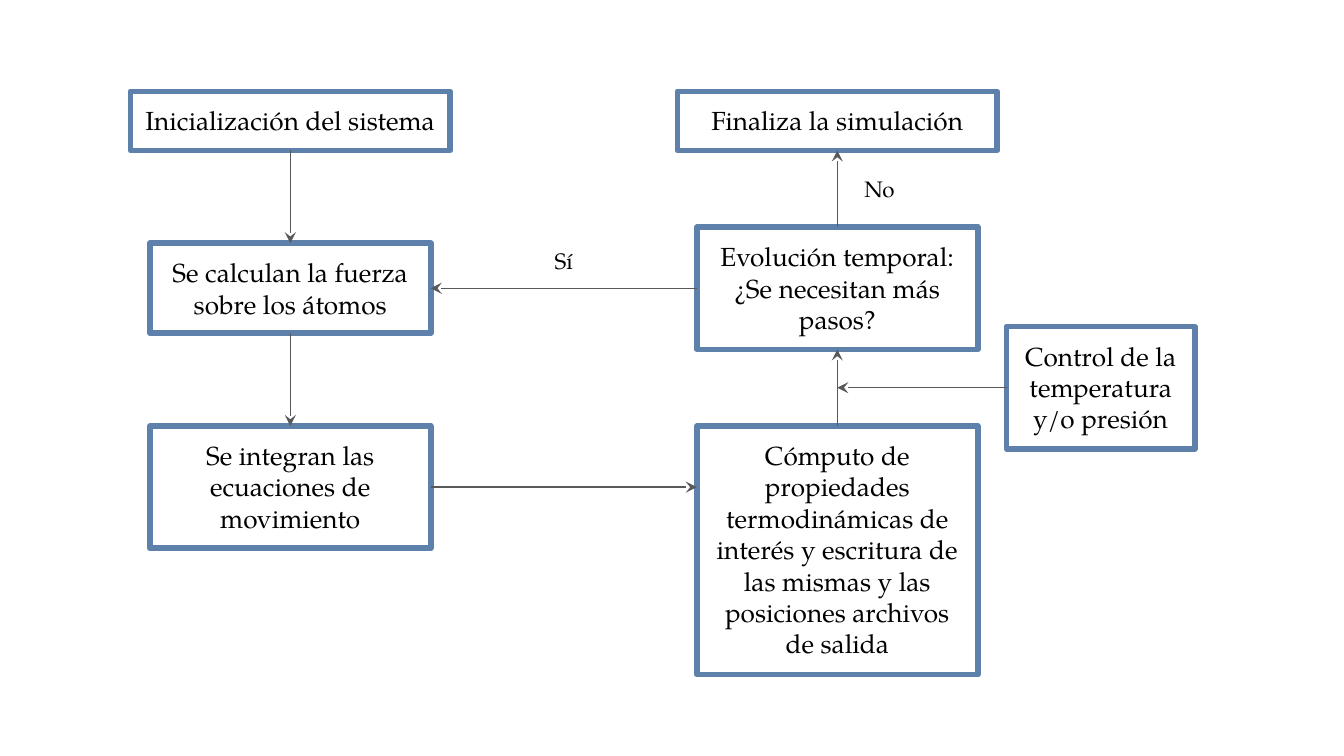
from lxml.etree import SubElement
from pptx import Presentation
from pptx.dml.color import RGBColor
from pptx.enum.shapes import MSO_CONNECTOR as CONNECTOR, MSO_SHAPE as SHAPE
from pptx.enum.text import MSO_ANCHOR as ANCHOR, PP_ALIGN as ALIGN
from pptx.oxml.ns import qn
from pptx.util import Inches, Pt

FONT = "TeX Gyre Pagella"
BLUE, GREY, BLACK = "5E81AC", "595959", "000000"
INSET = 0.1

# Column centres, and the row tops shared by both main columns
LEFT, RIGHT, SIDE = 2.16, 6.23, 8.19
TOP, BOTTOM = 0.68, 3.17
WIDE, NORMAL, NARROW = 2.38, 2.09, 1.4

# step: (column centre, top, width, height, paragraphs)
STEPS = {
    "start": (LEFT, TOP, WIDE, 0.44, ["Inicialización del sistema"]),
    "forces": (LEFT, 1.81, NORMAL, 0.67,
               ["Se calculan la fuerza sobre los átomos"]),
    "integrate": (LEFT, BOTTOM, NORMAL, 0.91,
                  ["Se integran las ecuaciones de movimiento"]),
    "compute": (RIGHT, BOTTOM, NORMAL, 1.85,
                ["Cómputo de propiedades termodinámicas de interés y escritura "
                 "de las mismas y las posiciones archivos de salida"]),
    "evolve": (RIGHT, 1.69, NORMAL, 0.91,
               ["Evolución temporal:", "¿Se necesitan más pasos?"]),
    "control": (SIDE, 2.43, NARROW, 0.91,
                ["Control de la temperatura y/o presión"]),
    "finish": (RIGHT, TOP, WIDE, 0.44, ["Finaliza la simulación"]),
}

# (from step, side it leaves, to step or x position)
FLOWS = [
    ("start", "bottom", "forces"),
    ("forces", "bottom", "integrate"),
    ("integrate", "right", "compute"),
    ("compute", "top", "evolve"),
    ("control", "left", RIGHT),
    ("evolve", "left", "forces"),
    ("evolve", "top", "finish"),
]
OPPOSITE = {"top": "bottom", "bottom": "top", "left": "right", "right": "left"}

# (text, left, top, width, height)
ANSWERS = [("Sí", 3.88, 1.74, 0.63, 0.4), ("No", 6.23, 1.2, 0.63, 0.4)]


def rgb(hex_code):
    """Turn a hex string into a colour."""
    return RGBColor.from_string(hex_code)


def write(shape, paragraphs, size):
    """Fill a shape with centred paragraphs."""
    frame = shape.text_frame
    frame.word_wrap = True
    frame.vertical_anchor = ANCHOR.TOP
    frame.margin_left = frame.margin_right = Inches(INSET)
    frame.margin_top = frame.margin_bottom = Inches(INSET)
    frame.text = "\n".join(paragraphs)
    for paragraph in frame.paragraphs:
        paragraph.alignment = ALIGN.CENTER
        paragraph.font.name = FONT
        paragraph.font.size = Pt(size)
        paragraph.font.color.rgb = rgb(BLACK)


def add_step(slide, centre, top, width, height, paragraphs):
    """Draw one outlined step of the flow."""
    step = slide.shapes.add_shape(
        SHAPE.RECTANGLE, Inches(centre - width / 2), Inches(top),
        Inches(width), Inches(height))
    step.shadow.inherit = False
    step.fill.background()
    step.line.color.rgb = rgb(BLUE)
    step.line.width = Pt(3)
    write(step, paragraphs, 14)


def side_point(name, side):
    """Give the middle of one side of a step, in inches."""
    centre, top, width, height, _ = STEPS[name]
    return {
        "top": (centre, top),
        "bottom": (centre, top + height),
        "left": (centre - width / 2, top + height / 2),
        "right": (centre + width / 2, top + height / 2),
    }[side]


def add_flow(slide, source, side, target):
    """Draw a straight arrow from the middle of a side to its target."""
    x, y = side_point(source, side)
    if target in STEPS:
        end_x, end_y = side_point(target, OPPOSITE[side])
    else:
        end_x, end_y = target, y
    if side in ("left", "right"):
        end_y = y
    flow = slide.shapes.add_connector(
        CONNECTOR.STRAIGHT, *map(Inches, (x, y, end_x, end_y)))
    flow.line.color.rgb = rgb(GREY)
    flow.line.width = Pt(0.75)
    properties = flow.line._get_or_add_ln()
    SubElement(properties, qn("a:tailEnd"), type="stealth")
    SubElement(properties.getparent(), qn("a:effectLst"))


def build():
    """Build the flow chart slide in 16:9 and save it."""
    deck = Presentation()
    deck.slide_width = Inches(10)
    deck.slide_height = deck.slide_width * 9 // 16
    slide = deck.slides.add_slide(deck.slide_layouts[6])
    for step in STEPS.values():
        add_step(slide, *step)
    for flow in FLOWS:
        add_flow(slide, *flow)
    for answer, *place in ANSWERS:
        write(slide.shapes.add_textbox(*map(Inches, place)), [answer], 12)
    deck.save("out.pptx")


build()
